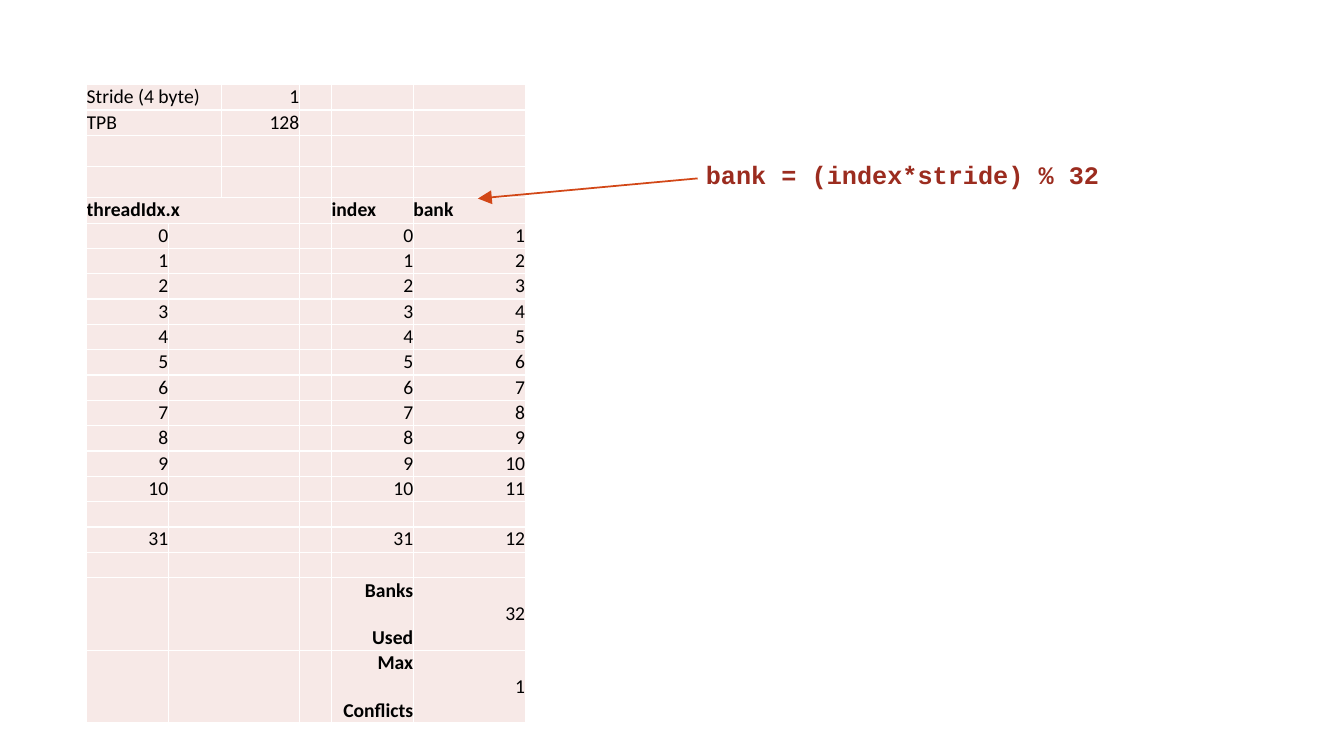
from lxml import etree
from pptx import Presentation
from pptx.dml.color import RGBColor
from pptx.enum.shapes import MSO_CONNECTOR
from pptx.enum.text import MSO_ANCHOR, PP_ALIGN
from pptx.oxml import parse_xml
from pptx.oxml.ns import nsdecls, qn
from pptx.util import Inches, Pt

BLACK = RGBColor(0x00, 0x00, 0x00)
WHITE = RGBColor(0xFF, 0xFF, 0xFF)
PINK = RGBColor(0xF7, 0xE9, 0xE7)
BRICK = RGBColor(0x9B, 0x2C, 0x1F)
ORANGE = RGBColor(0xD2, 0x47, 0x17)

COLUMNS = [0.81, 0.53, 0.77, 0.32, 0.81, 1.11]
ROW, GAP_ROW, TOTAL_ROW = Pt(18.1), Inches(0.31), Inches(0.48)
THREADS = [(n, n, n + 1) for n in range(11)] + [None, (31, 31, 12), None]
SETTINGS = [("Stride (4 byte)", 1), ("TPB", 128), None, None]
TOTALS = [(("Banks", "Used"), 32), (("Max", "Conflicts"), 1)]
HEADER = len(SETTINGS)
FIRST_THREAD = HEADER + 1
FIRST_TOTAL = FIRST_THREAD + len(THREADS)
ROWS = FIRST_TOTAL + len(TOTALS)


def add_span(para, text, font, size, color, bold=False):
    span = para.add_run()
    span.text = str(text)
    span.font.name = font
    span.font.size = Pt(size)
    span.font.bold = bold
    span.font.color.rgb = color


def style_cell(cell):
    """Pink fill, white borders, no side margins, and a small empty line."""
    cell.fill.solid()
    cell.fill.fore_color.rgb = PINK
    cell.margin_left = cell.margin_right = cell.margin_bottom = 0
    cell.margin_top = Inches(0.01)
    props = cell._tc.get_or_add_tcPr()
    for place, side in enumerate(("lnL", "lnR", "lnT", "lnB")):
        props.insert(place, parse_xml(
            f'<a:{side} {nsdecls("a")} w="12700"><a:solidFill>'
            f'<a:srgbClr val="{WHITE}"/></a:solidFill></a:{side}>'))
    para = cell.text_frame.paragraphs[0]
    etree.SubElement(para._p, qn("a:endParaRPr"), sz="1200")


def write_cell(cell, text, align=PP_ALIGN.RIGHT, bold=False):
    para = cell.text_frame.paragraphs[0]
    para.alignment = align
    para.line_spacing = Pt(16.6)
    para.space_before = Pt(0.6)
    add_span(para, text, "Calibri", 14, BLACK, bold)


def write_total(label_cell, value_cell, words, value):
    """Two spaced bold words beside a vertically centred value."""
    frame = label_cell.text_frame
    for n, word in enumerate(words):
        para = frame.add_paragraph() if n else frame.paragraphs[0]
        para.alignment = PP_ALIGN.RIGHT
        para.space_before = Pt(17 * n)
        add_span(para, word, "Calibri", 14, BLACK, True)
    write_cell(value_cell, value)
    value_cell.vertical_anchor = MSO_ANCHOR.MIDDLE


def merged_columns(row):
    if row < HEADER:
        return 0, 1
    return (0, 2) if row == HEADER else (1, 2)


def row_height(row):
    if row >= FIRST_TOTAL:
        return TOTAL_ROW
    return GAP_ROW if row < HEADER and not SETTINGS[row] else ROW


def add_bank_table(page, left, top):
    heights = [row_height(row) for row in range(ROWS)]
    table = page.shapes.add_table(
        ROWS, len(COLUMNS), left, top, Inches(sum(COLUMNS)), sum(heights)).table
    table.first_row = table.horz_banding = False
    for column, width in zip(table.columns, COLUMNS):
        column.width = Inches(width)
    for row, height in enumerate(heights):
        table.rows[row].height = height
        for column in range(len(COLUMNS)):
            style_cell(table.cell(row, column))
        first, last = merged_columns(row)
        table.cell(row, first).merge(table.cell(row, last))

    for row, setting in enumerate(SETTINGS):
        if setting:
            write_cell(table.cell(row, 0), setting[0], PP_ALIGN.LEFT)
            write_cell(table.cell(row, 2), setting[1])
    for column, title in ((0, "threadIdx.x"), (4, "index"), (5, "bank")):
        write_cell(table.cell(HEADER, column), title, PP_ALIGN.LEFT, True)
    for row, thread in enumerate(THREADS, FIRST_THREAD):
        for column, value in zip((0, 4, 5), thread or ()):
            write_cell(table.cell(row, column), value)
    for row, (words, value) in enumerate(TOTALS, FIRST_TOTAL):
        write_total(table.cell(row, 4), table.cell(row, 5), words, value)


def add_formula(page, left, top, width, height):
    """The bank formula, with an arrow from it to the bank column."""
    frame = page.shapes.add_textbox(left, top, width, height).text_frame
    frame.word_wrap = True
    frame.margin_left = frame.margin_right = frame.margin_bottom = 0
    frame.margin_top = Inches(0.01)
    para = frame.paragraphs[0]
    para.space_before = Pt(1)
    add_span(para, "bank = (index*stride) % 32", "Courier New", 18, BRICK, True)

    arrow = page.shapes.add_connector(
        MSO_CONNECTOR.STRAIGHT, left - Inches(0.08), top + Inches(0.2),
        left - Inches(2.26), top + Inches(0.4))
    arrow.line.color.rgb = ORANGE
    arrow.line.width = Pt(1.25)
    etree.SubElement(arrow.line._get_or_add_ln(), qn("a:tailEnd"),
                     type="triangle", w="lg", len="lg")
    etree.SubElement(arrow._element.spPr, qn("a:effectLst"))


def main():
    deck = Presentation()
    deck.slide_width, deck.slide_height = Inches(13.33), Inches(7.5)
    page = deck.slides.add_slide(deck.slide_layouts[6])
    add_bank_table(page, Inches(0.86), Inches(0.84))
    add_formula(page, Inches(7), Inches(1.57), Inches(3.91), Inches(0.33))
    deck.save("out.pptx")


if __name__ == "__main__":
    main()
